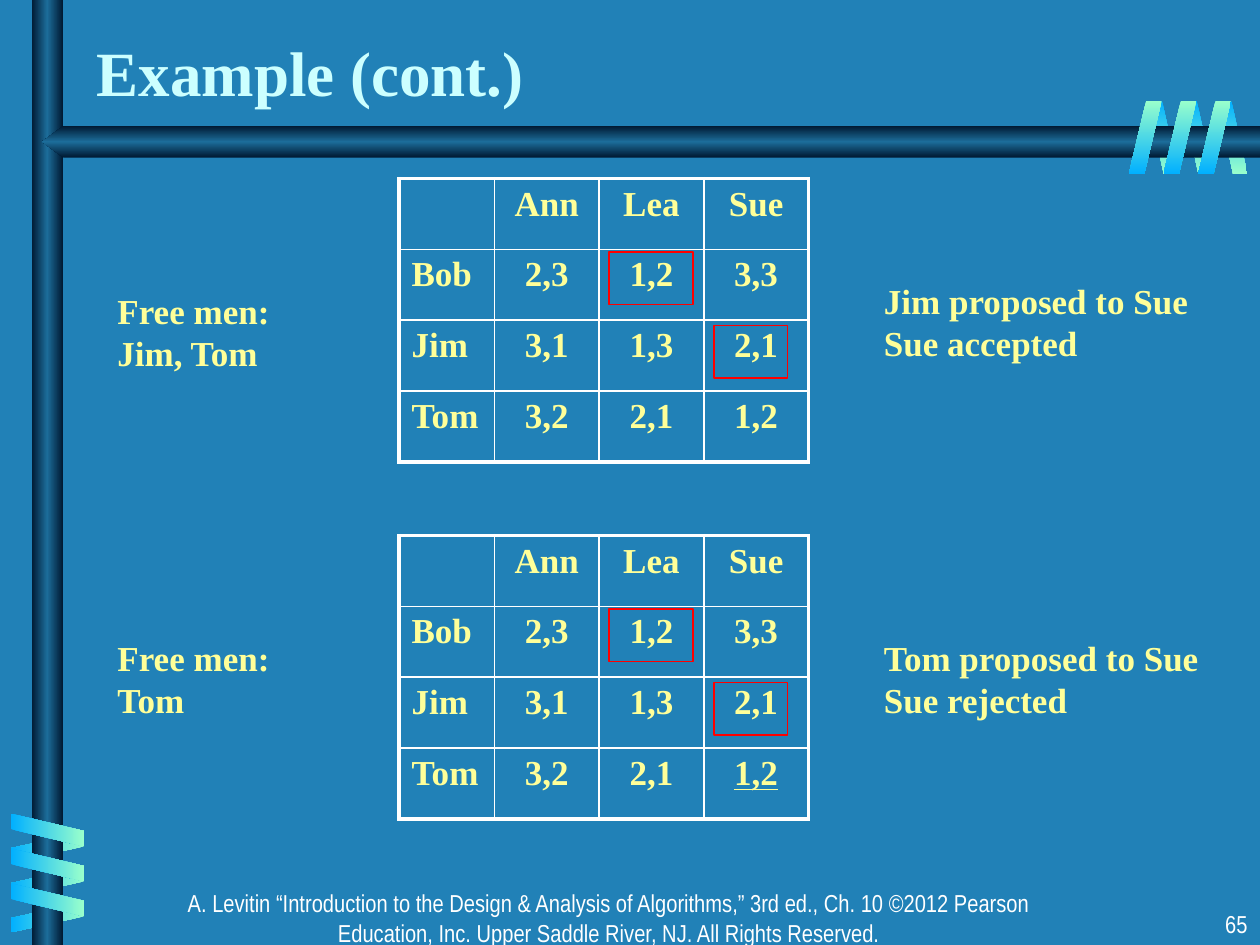
from dataclasses import dataclass

from lxml import etree
from pptx import Presentation
from pptx.dml.color import RGBColor
from pptx.enum.shapes import MSO_SHAPE
from pptx.enum.text import MSO_ANCHOR, MSO_AUTO_SIZE, PP_ALIGN
from pptx.oxml.ns import qn
from pptx.util import Pt

RECT, PLATE, STRIPE = MSO_SHAPE.RECTANGLE, MSO_SHAPE.PENTAGON, MSO_SHAPE.PARALLELOGRAM
LEFT, CENTER, RIGHT = PP_ALIGN.LEFT, PP_ALIGN.CENTER, PP_ALIGN.RIGHT
TOP, BOTTOM = MSO_ANCHOR.TOP, MSO_ANCHOR.BOTTOM
GROW, FIXED = MSO_AUTO_SIZE.SHAPE_TO_FIT_TEXT, MSO_AUTO_SIZE.NONE


@dataclass(frozen=True)
class Theme:
    """Colours, type styles and line widths of the deck."""
    background: str = "2181B7"
    line: str = "FFFFFF"
    mark: str = "FF0000"
    bar: tuple = ("001932", "1C6D9A", "001932")
    cool: tuple = ("01B0FF", "99FFCC")
    title: tuple = ("Times New Roman", 36, True, "CCFFFF")
    body: tuple = ("Times New Roman", 20, True, "FFFF99")
    footer: tuple = ("Arial Narrow", 14, False, "FFFFFF")
    thin: float = 1
    thick: float = 2.25


THEME = Theme()
RANKINGS = [
    ["", "Ann", "Lea", "Sue"],
    ["Bob", "2,3", "1,2", "3,3"],
    ["Jim", "3,1", "1,3", "2,1"],
    ["Tom", "3,2", "2,1", "1,2"],
]
COLUMNS = [54.6, 59.8, 59.8, 59.8]
ROW_HEIGHT = 40.5


def write(tf, text, style, align=LEFT, underline=None):
    """Fill a text frame with one paragraph, breaking lines at newlines."""
    name, size, bold, color = style
    p = tf.paragraphs[0]
    p.alignment = align
    for i, line in enumerate(text.split("\n")):
        if i:
            p.add_line_break()
        r = p.add_run()
        r.text = line
        values = {"name": name, "size": Pt(size), "bold": bold, "underline": underline}
        for key, value in values.items():
            setattr(r.font, key, value)
        r.font.color.rgb = RGBColor.from_string(color)


def add_title(s, text, box):
    """Place and format the title placeholder."""
    sp = s.shapes.title
    for key, value in zip(("left", "top", "width", "height"), box):
        setattr(sp, key, Pt(value))
    tf = sp.text_frame
    for key, value in {"auto_size": FIXED, "vertical_anchor": BOTTOM, "word_wrap": True}.items():
        setattr(tf, key, value)
    write(tf, text, THEME.title)


def add_text(s, text, box, style=THEME.body, align=LEFT, auto_size=GROW):
    """Add a wrapping text box."""
    tf = s.shapes.add_textbox(*map(Pt, box)).text_frame
    for key, value in {"auto_size": auto_size, "vertical_anchor": TOP, "word_wrap": True}.items():
        setattr(tf, key, value)
    write(tf, text, style, align)


def add_gradient(s, kind, box, colors, angle, adjust=None, rotation=0, flip=False):
    """Add a borderless shape whose gradient keeps its page direction."""
    sp = s.shapes.add_shape(kind, *map(Pt, box))
    sp.shadow.inherit = False
    sp.line.fill.background()
    sp.rotation = rotation
    if adjust is not None:
        sp.adjustments[0] = adjust
    spPr = sp._element.spPr
    if flip:
        spPr.find(qn("a:xfrm")).set("flipH", "1")
    grad = etree.Element(qn("a:gradFill"), rotWithShape="0")
    stops = etree.SubElement(grad, qn("a:gsLst"))
    for i, color in enumerate(colors):
        stop = etree.SubElement(stops, qn("a:gs"), pos=str(100000 * i // (len(colors) - 1)))
        etree.SubElement(stop, qn("a:srgbClr"), val=color)
    etree.SubElement(grad, qn("a:lin"), ang=str(angle * 60000), scaled="1")
    spPr.find(qn("a:prstGeom")).addnext(grad)


def add_stripes(s, box, step, colors, angle, rotation, flip=False):
    """Add three slanted stripes at equal steps."""
    x, y, w, h = box
    dx, dy = step
    for i in range(3):
        add_gradient(s, STRIPE, (x + i * dx, y + i * dy, w, h), colors, angle,
                     0.53, rotation, flip)


def add_decor(s):
    """Add the two bars with the stripes that wind around them."""
    warm = THEME.cool[::-1]
    across, down = (-19.8, 0), (0, 19.98)
    add_stripes(s, (695.52, 57.6, 17.28, 41.76), across, THEME.cool, 90, 180, True)
    add_stripes(s, (18.72, 463.2, 17.28, 41.76), down, warm, 0, 90, True)
    add_gradient(s, RECT, (18, 0, 18, 540), THEME.bar, 0)
    add_gradient(s, PLATE, (24, 72, 696, 18), THEME.bar, 90, 0.678, flip=True)
    add_stripes(s, (17.8, 453.4, 18.72, 41.76), down, THEME.cool, 0, 270)
    add_stripes(s, (684.72, 57.6, 18.72, 41.76), across, warm, 90, 0)


def set_borders(cell, widths):
    """Draw the left, right, top and bottom borders of a cell."""
    tcPr = cell._tc.get_or_add_tcPr()
    for i, (side, width) in enumerate(zip(("lnL", "lnR", "lnT", "lnB"), widths)):
        ln = etree.Element(qn("a:" + side), w=str(Pt(width)))
        fill = etree.SubElement(ln, qn("a:solidFill"))
        etree.SubElement(fill, qn("a:srgbClr"), val=THEME.line)
        tcPr.insert(i, ln)


def add_rankings(s, x, y, underlined=None):
    """Add the ranking table with a thick outer frame."""
    n = len(RANKINGS)
    table = s.shapes.add_table(n, n, Pt(x), Pt(y), Pt(sum(COLUMNS)), Pt(n * ROW_HEIGHT)).table
    table.first_row = table.horz_banding = False
    for column, width in zip(table.columns, COLUMNS):
        column.width = Pt(width)
    for i, row in enumerate(RANKINGS):
        table.rows[i].height = Pt(ROW_HEIGHT)
        for j, text in enumerate(row):
            cell = table.cell(i, j)
            cell.fill.background()
            edges = (j == 0, j == n - 1, i == 0, i == n - 1)
            set_borders(cell, [THEME.thick if edge else THEME.thin for edge in edges])
            if text:
                write(cell.text_frame, text, THEME.body, CENTER if j else LEFT,
                      True if (i, j) == underlined else None)


def add_mark(s, box):
    """Add a red outline around a matched pair."""
    sp = s.shapes.add_shape(RECT, *map(Pt, box))
    sp.shadow.inherit = False
    sp.fill.background()
    sp.line.color.rgb = RGBColor.from_string(THEME.mark)
    sp.line.width = Pt(THEME.thin)


def add_step(s, y, free, free_y, result, result_y, result_width, underlined=None):
    """Add one step: free men, rankings with marked pairs, and the result."""
    add_text(s, free, (60, free_y, 162, 55.4))
    add_rankings(s, 228, y, underlined)
    add_text(s, result, (498, result_y, result_width, 55.4))
    add_mark(s, (348, y + 42, 48, 30))
    add_mark(s, (408, y + 84, 42, 30))


def main():
    """Build and save the slide."""
    prs = Presentation()
    prs.slide_width, prs.slide_height = Pt(720), Pt(540)
    s = prs.slides.add_slide(prs.slide_layouts[5])
    s.background.fill.solid()
    s.background.fill.fore_color.rgb = RGBColor.from_string(THEME.background)
    add_decor(s)
    add_title(s, "Example (cont.)", (48, 12, 597.6, 54))
    add_step(s, 102, "Free men:\nJim, Tom", 162, "Jim proposed to Sue\nSue accepted", 156, 192)
    add_step(s, 306, "Free men:\nTom", 360, "Tom proposed to Sue\nSue rejected", 360, 204, (3, 3))
    add_text(s, "A. Levitin “Introduction to the Design & Analysis of Algorithms,” 3rd ed., Ch. 10 "
             "©2012 Pearson Education, Inc. Upper Saddle River, NJ. All Rights Reserved.",
             (96, 504, 504, 24), THEME.footer, CENTER, FIXED)
    add_text(s, "65", (570, 516, 150, 24), THEME.footer, RIGHT, FIXED)
    prs.save("out.pptx")


if __name__ == "__main__":
    main()
